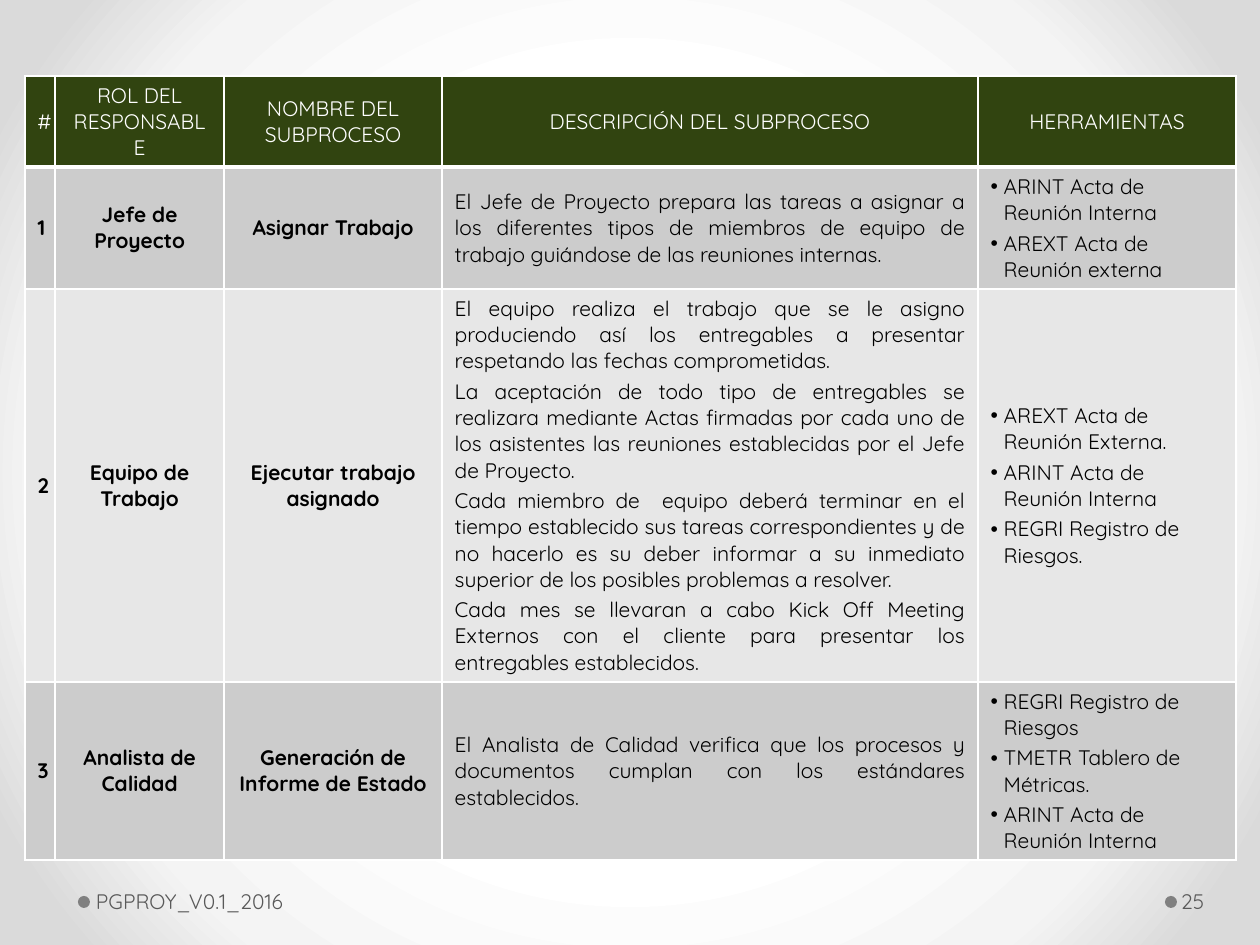
from lxml import etree
from pptx import Presentation
from pptx.dml.color import RGBColor
from pptx.enum.shapes import MSO_SHAPE
from pptx.enum.text import MSO_ANCHOR, PP_ALIGN
from pptx.oxml import parse_xml
from pptx.oxml.ns import qn
from pptx.util import Emu, Pt

OVAL = MSO_SHAPE.OVAL
MIDDLE = MSO_ANCHOR.MIDDLE
LEFT, CENTER, JUSTIFY = PP_ALIGN.LEFT, PP_ALIGN.CENTER, PP_ALIGN.JUSTIFY
NS = 'xmlns:a="http://schemas.openxmlformats.org/drawingml/2006/main"'

FONT = "Quicksand"
WHITE, BLACK = "FFFFFF", "000000"
GREEN, DARK_ROW, LIGHT_ROW = "314410", "CCCCCC", "E7E7E7"
FOOTER_TEXT, FOOTER_DOT = "595959", "808080"
BACKGROUND_STOPS = [(50, "FFFFFF"), (76, "F4F4F4"), (92, "DADADA")]

COLUMN_WIDTHS = [30, 169, 218, 536, 258]
ROW_HEIGHTS = [91, 122, 393, 178]
COLUMN_ALIGNS = [CENTER, CENTER, CENTER, JUSTIFY, LEFT]
BOLD_COLUMNS, TOOLS_COLUMN = 3, 4
BULLET_INDENT = 13

HEADERS = ["#", "ROL DEL RESPONSABLE", "NOMBRE DEL SUBPROCESO",
           "DESCRIPCIÓN DEL SUBPROCESO", "HERRAMIENTAS"]
SUBPROCESSES = [
    (["1"], ["Jefe de Proyecto"], ["Asignar Trabajo"],
     ["El Jefe de Proyecto prepara las tareas a asignar a los diferentes tipos "
      "de miembros de equipo de trabajo guiándose de las reuniones internas."],
     ["ARINT Acta de Reunión Interna", "AREXT Acta de Reunión externa"]),
    (["2"], ["Equipo de Trabajo"], ["Ejecutar trabajo asignado"],
     ["El equipo realiza el trabajo que se le asigno produciendo así los "
      "entregables a presentar respetando las fechas comprometidas.",
      "La aceptación de todo tipo de entregables se realizara mediante Actas "
      "firmadas por cada uno de los asistentes las reuniones establecidas por "
      "el Jefe de Proyecto.",
      "Cada miembro de  equipo deberá terminar en el tiempo establecido sus "
      "tareas correspondientes y de no hacerlo es su deber informar a su "
      "inmediato superior de los posibles problemas a resolver.",
      "Cada mes se llevaran a cabo Kick Off Meeting Externos con el cliente "
      "para presentar los entregables establecidos."],
     ["AREXT Acta de Reunión Externa.", "ARINT Acta de Reunión Interna",
      "REGRI Registro de Riesgos."]),
    (["3"], ["Analista de Calidad"], ["Generación de Informe de Estado"],
     ["El Analista de Calidad verifica que los procesos y documentos cumplan "
      "con los estándares establecidos."],
     ["REGRI Registro de Riesgos", "TMETR Tablero de Métricas.",
      "ARINT Acta de Reunión Interna"]),
]


def px(length):
    return Emu(length * 914400 // 126)


def color(value):
    return RGBColor.from_string(value)


def add_text(paragraph, text, hue, bold=False):
    run = paragraph.add_run()
    run.text = text
    run.font.name = FONT
    run.font.size = Pt(12)
    run.font.bold = bold
    run.font.color.rgb = color(hue)


def paint_background(slide):
    slide.background.fill.solid()
    solid = next(slide.background.fill._xPr.iter(qn("a:solidFill")))
    stops = "".join(f'<a:gs pos="{at * 1000}"><a:srgbClr val="{hue}"/></a:gs>'
                    for at, hue in BACKGROUND_STOPS)
    solid.getparent().replace(solid, parse_xml(
        f'<a:gradFill {NS} rotWithShape="1"><a:gsLst>{stops}</a:gsLst>'
        '<a:path path="circle"><a:fillToRect l="50000" t="50000" r="50000" '
        'b="50000"/></a:path></a:gradFill>'))


def add_bullet(paragraph):
    props = paragraph._p.get_or_add_pPr()
    props.set("marL", str(px(BULLET_INDENT)))
    props.set("indent", str(-px(BULLET_INDENT)))
    etree.SubElement(props, qn("a:buFont")).set("typeface", "Arial")
    etree.SubElement(props, qn("a:buChar")).set("char", "•")


def style_cell(cell, fill, bottom_width):
    props = cell._tc.get_or_add_tcPr()
    for side in "LRTB":
        width = bottom_width if side == "B" else 1
        props.append(parse_xml(
            f'<a:ln{side} {NS} w="{Pt(width)}"><a:solidFill>'
            f'<a:srgbClr val="{WHITE}"/></a:solidFill></a:ln{side}>'))
    cell.fill.solid()
    cell.fill.fore_color.rgb = color(fill)
    cell.vertical_anchor = MIDDLE


def fill_cell(cell, paragraphs, align, hue, bold=False, bullets=False):
    frame = cell.text_frame
    for index, text in enumerate(paragraphs):
        paragraph = frame.add_paragraph() if index else frame.paragraphs[0]
        paragraph.alignment = align
        if index:
            paragraph.space_before = Pt(2.4)
        if bullets:
            add_bullet(paragraph)
        add_text(paragraph, text, hue, bold)


def add_subprocess_table(slide, left, top):
    table = slide.shapes.add_table(
        len(ROW_HEIGHTS), len(COLUMN_WIDTHS), px(left), px(top),
        px(sum(COLUMN_WIDTHS)), px(sum(ROW_HEIGHTS))).table
    for column, width in zip(table.columns, COLUMN_WIDTHS):
        column.width = px(width)
    for row, height in zip(table.rows, ROW_HEIGHTS):
        row.height = px(height)

    # Header row
    for col, header in enumerate(HEADERS):
        cell = table.cell(0, col)
        style_cell(cell, GREEN, 3)
        fill_cell(cell, [header], CENTER, WHITE)

    # One row per subprocess, in alternating greys
    for row, subprocess in enumerate(SUBPROCESSES, start=1):
        for col, paragraphs in enumerate(subprocess):
            cell = table.cell(row, col)
            style_cell(cell, DARK_ROW if row % 2 else LIGHT_ROW, 1)
            fill_cell(cell, paragraphs, COLUMN_ALIGNS[col], BLACK,
                      bold=col < BOLD_COLUMNS, bullets=col == TOOLS_COLUMN)


def add_footer_item(slide, left, top, width, text, insets):
    # Dot, then its label to the right
    dot_size, label_offset, height = 12, 12, 50
    dot = slide.shapes.add_shape(OVAL, px(left), px(top + 20),
                                 px(dot_size), px(dot_size))
    dot.shadow.inherit = False
    dot.fill.solid()
    dot.fill.fore_color.rgb = color(FOOTER_DOT)
    dot.line.fill.background()
    label = slide.shapes.add_textbox(px(left + label_offset), px(top),
                                     px(width), px(height)).text_frame
    label.word_wrap = True
    label.vertical_anchor = MIDDLE
    label.margin_left, label.margin_right = map(px, insets)
    add_text(label.paragraphs[0], text, FOOTER_TEXT)


def main():
    prs = Presentation()
    prs.slide_width, prs.slide_height = px(1260), px(945)
    slide = prs.slides.add_slide(prs.slide_layouts[6])
    paint_background(slide)
    add_footer_item(slide, 1165, 876, 77, "25", (4, 6))
    add_subprocess_table(slide, 25, 76)
    add_footer_item(slide, 78, 876, 499, "PGPROY_V0.1_2016", (6, 13))
    prs.save("out.pptx")


if __name__ == "__main__":
    main()
